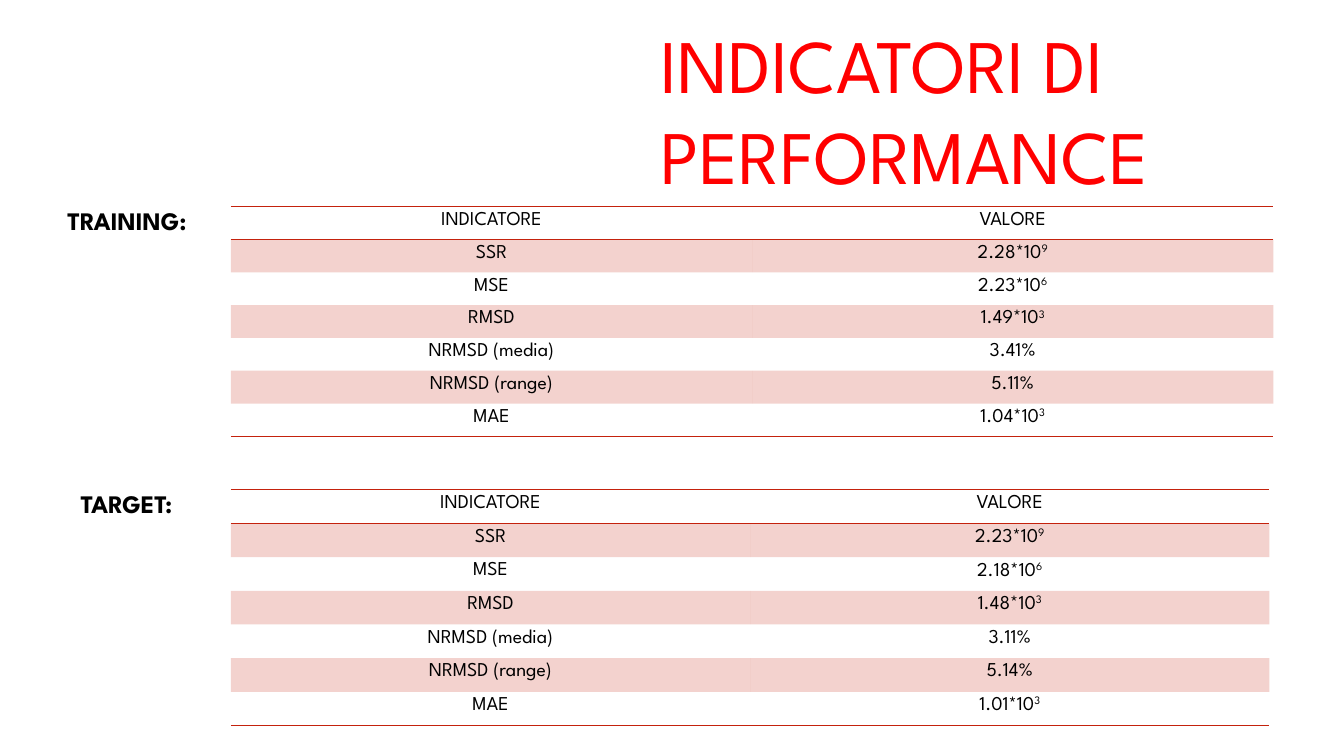
from lxml import etree
from pptx import Presentation
from pptx.dml.color import RGBColor
from pptx.enum import text
from pptx.oxml import ns
from pptx.util import Inches, Pt

FONT = "League Spartan"
BLACK = RGBColor(0, 0, 0)
TITLE = RGBColor(0xFF, 0, 0)
RED = RGBColor(0xC4, 0x22, 0x0D)
PLAIN = "{2D5ABB26-0587-4C30-8999-92F81FD0307C}"

HEAD = ("INDICATORE", "VALORE")
NAMES = ["SSR", "MSE", "RMSD", "NRMSD (media)", "NRMSD (range)", "MAE"]
BLOCKS = [
    ("TRAINING:", 0.57, 2.05, 10.34,
     ["2.28*10^9", "2.23*10^6", "1.49*10^3", "3.41%", "5.11%", "1.04*10^3"]),
    ("TARGET:", 0.7, 4.86, 10.3,
     ["2.23*10^9", "2.18*10^6", "1.48*10^3", "3.11%", "5.14%", "1.01*10^3"]),
]


def style(para, size, color, bold=False):
    font = para.font
    font.name, font.size, font.bold = FONT, Pt(size), bold
    font.color.rgb = color


def border(cell, side):
    props = cell._tc.get_or_add_tcPr()
    line = etree.SubElement(props, ns.qn("a:" + side), w=str(Pt(1)))
    fill = etree.SubElement(line, ns.qn("a:solidFill"))
    etree.SubElement(fill, ns.qn("a:srgbClr"), val=str(RED))


def shade(cell):
    cell.fill.solid()
    cell.fill.fore_color.rgb = RED
    color = cell._tc.tcPr.find(".//" + ns.qn("a:srgbClr"))
    etree.SubElement(color, ns.qn("a:alpha"), val="20000")


def write(cell, value):
    para = cell.text_frame.paragraphs[0]
    para.alignment = text.PP_ALIGN.CENTER
    style(para, 14, BLACK)
    base, _, power = value.partition("^")
    para.add_run().text = base
    if power:
        run = para.add_run()
        run.text = power
        run.font._element.set("baseline", "30000")


def add_grid(slide, top, width, values):
    rows = [HEAD, *zip(NAMES, values)]
    table = slide.shapes.add_table(
        len(rows), 2, Inches(2.29), Inches(top), Inches(width), Inches(2.28)).table
    table.first_row = table.horz_banding = False
    table._tbl.tblPr.find(ns.qn("a:tableStyleId")).text = PLAIN
    for r, row in enumerate(rows):
        for c, value in enumerate(row):
            cell = table.cell(r, c)
            write(cell, value)
            if r == 0:
                border(cell, "lnT")
            if r in (0, len(rows) - 1):
                border(cell, "lnB")
            if r % 2:
                shade(cell)
            else:
                cell.fill.background()


def add_label(slide, label, left, top):
    box = slide.shapes.add_textbox(
        Inches(left), Inches(top), Inches(2.09), Inches(0.4))
    box.text_frame.word_wrap = True
    para = box.text_frame.paragraphs[0]
    para.text = label
    style(para, 18, BLACK, True)


def main():
    deck = Presentation()
    deck.slide_width, deck.slide_height = Inches(13.33), Inches(7.5)
    slide = deck.slides.add_slide(deck.slide_layouts[5])
    title = slide.shapes.title
    title.left, title.top = Inches(6.45), Inches(0.13)
    title.width, title.height = Inches(6.79), Inches(1.92)
    frame = title.text_frame
    frame.text = "INDICATORI DI PERFORMANCE"
    frame.word_wrap = True
    frame.auto_size = text.MSO_AUTO_SIZE.NONE
    frame.vertical_anchor = text.MSO_ANCHOR.TOP
    para = frame.paragraphs[0]
    para.alignment = text.PP_ALIGN.LEFT
    style(para, 54, TITLE)
    for label, left, top, width, values in BLOCKS:
        add_grid(slide, top, width, values)
        add_label(slide, label, left, top - 0.06)
    deck.save("out.pptx")


if __name__ == "__main__":
    main()
